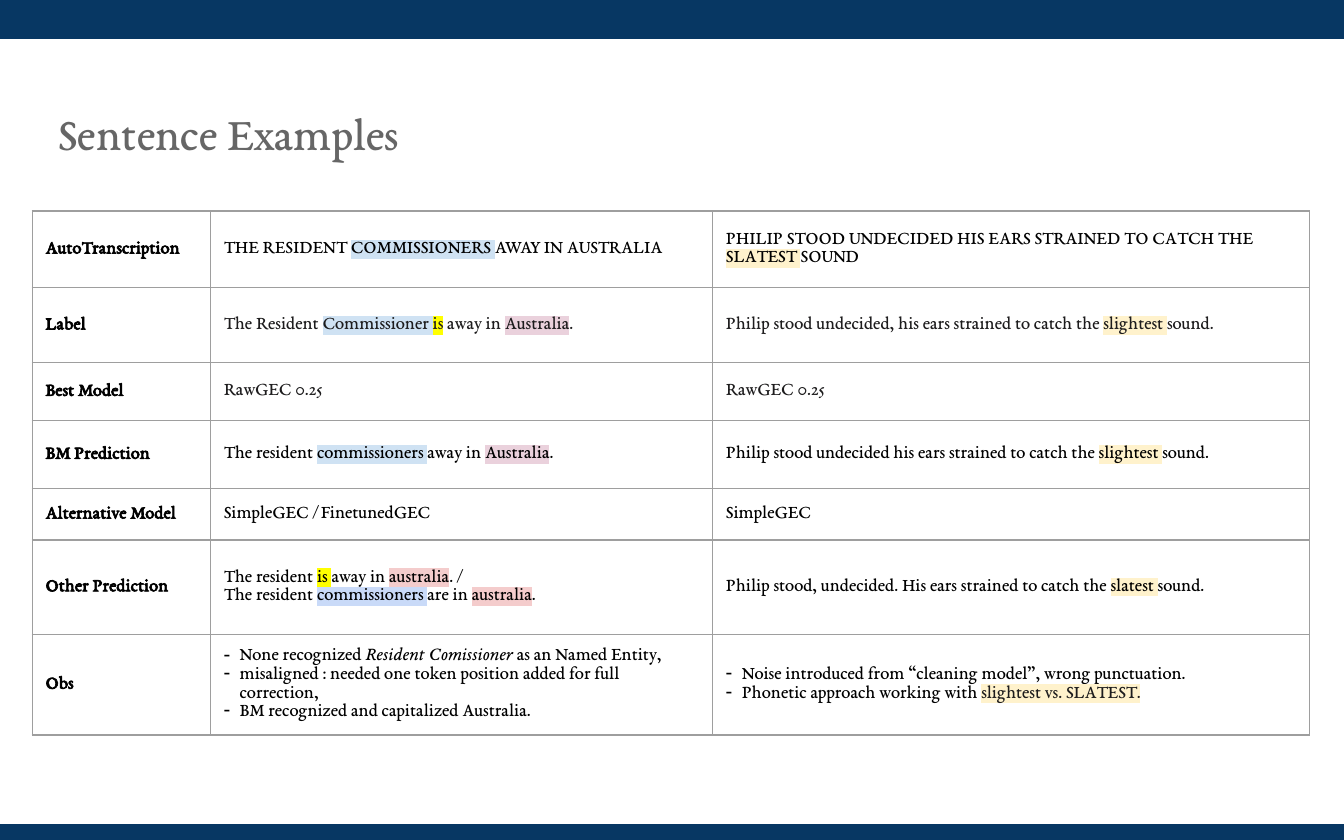
from dataclasses import dataclass

from lxml.etree import SubElement
from pptx import Presentation
from pptx.dml.color import RGBColor
from pptx.enum.shapes import MSO_SHAPE as Shape
from pptx.enum.text import MSO_ANCHOR as Anchor
from pptx.oxml.ns import qn
from pptx.util import Cm, Pt

FONT = "EB Garamond"
NAVY, GREY, BORDER, BLACK, INK = "073763", "666666", "9E9E9E", "000000", "1D1C1D"
BLUE, SKY, YELLOW = "CFE2F3", "C9DAF8", "FFFF00"
CREAM, PINK, RED = "FFF2CC", "EAD1DC", "F4CCCC"
INSET = Cm(0.25)


@dataclass
class Box:
    left: float
    top: float
    width: float
    height: float

    def lengths(self):
        return [Cm(n) for n in (self.left, self.top, self.width, self.height)]


@dataclass
class Part:
    """A stretch of text with its own look; colour None means that of its row."""
    text: str
    highlight: str = None
    colour: str = None
    bold: bool = False
    italic: bool = False


@dataclass
class Row:
    """A table row; a cell is a list of paragraphs, a paragraph a list of parts."""
    name: str
    height: float
    cells: list
    colour: str = BLACK
    bulleted: bool = False


COLUMN_WIDTHS = [3.37, 9.49, 11.28]
ROWS = [
    Row("AutoTranscription", 1.45, [
        [["THE RESIDENT ", Part("COMMISSIONERS ", BLUE), "AWAY IN AUSTRALIA"]],
        [["PHILIP STOOD UNDECIDED HIS EARS STRAINED TO CATCH THE ",
          Part("SLATEST ", CREAM), "SOUND"]],
    ]),
    Row("Label", 1.42, [
        [["The Resident ", Part("Commissioner ", BLUE), Part("is", YELLOW),
          " away in ", Part("Australia", PINK), "."]],
        [["Philip stood undecided, his ears strained to catch the ",
          Part("slightest ", CREAM), "sound."]],
    ], colour=INK),
    Row("Best Model", 1.09, [[["RawGEC 0.25"]], [["RawGEC 0.25"]]], colour=INK),
    Row("BM Prediction", 1.29, [
        [["The resident ", Part("commissioners ", BLUE), "away in ",
          Part("Australia", PINK), "."]],
        [["Philip stood undecided his ears strained to catch the ",
          Part("slightest ", CREAM), "sound."]],
    ]),
    Row("Alternative Model", 0.97, [[["SimpleGEC / FinetunedGEC"]], [["SimpleGEC"]]]),
    Row("Other Prediction", 1.78, [
        [["The resident ", Part("is ", YELLOW), "away in ", Part("australia", RED), ". /"],
         ["The resident ", Part("commissioners ", SKY), "are in ",
          Part("australia", RED), "."]],
        [["Philip stood, undecided. His ears strained to catch the ",
          Part("slatest ", CREAM), "sound."]],
    ]),
    Row("Obs", 1.78, [
        [["None recognized ", Part("Resident Comissioner", italic=True),
          " as an Named Entity,"],
         ["misaligned : needed one token position added for full correction,"],
         ["BM recognized and capitalized Australia."]],
        [["Noise introduced from “cleaning model”, wrong punctuation."],
         ["Phonetic approach working with ",
          Part("slightest vs. SLATEST.", CREAM, INK)]],
    ], bulleted=True),
]


def rgb(colour):
    return RGBColor.from_string(colour)


def add_solid_fill(parent, colour):
    SubElement(SubElement(parent, qn("a:solidFill")), qn("a:srgbClr"), val=colour)


def format_run(run, size, colour):
    run.font.size = Pt(size)
    run.font.color.rgb = rgb(colour)
    run.font.name = FONT


def highlight_run(run, colour):
    """Marks the run; the highlight has to come straight after the text fill."""
    properties = run.font._element
    highlight = SubElement(properties, qn("a:highlight"))
    SubElement(highlight, qn("a:srgbClr"), val=colour)
    properties.find(qn("a:solidFill")).addnext(highlight)


def add_bullet(paragraph):
    properties = paragraph._p.get_or_add_pPr()
    properties.set("marL", str(Cm(0.3)))
    properties.set("indent", str(Cm(-0.48)))
    bullet_colour = SubElement(properties, qn("a:buClr"))
    SubElement(bullet_colour, qn("a:srgbClr"), val=BLACK)
    SubElement(properties, qn("a:buChar"), char="-")


def set_insets(item):
    item.margin_left = item.margin_right = INSET
    item.margin_top = item.margin_bottom = INSET


def style_cell(cell):
    set_insets(cell)
    cell.vertical_anchor = Anchor.MIDDLE
    properties = cell._tc.get_or_add_tcPr()
    for side in ("lnL", "lnR", "lnT", "lnB"):
        line = SubElement(properties, qn(f"a:{side}"), w=str(Pt(0.75)))
        add_solid_fill(line, BORDER)
    cell.fill.background()


def fill_cell(cell, paragraphs, colour, bulleted=False):
    style_cell(cell)
    text_frame = cell.text_frame
    for index, parts in enumerate(paragraphs):
        paragraph = text_frame.add_paragraph() if index else text_frame.paragraphs[0]
        if bulleted:
            add_bullet(paragraph)
        for part in parts:
            if isinstance(part, str):
                part = Part(part)
            run = paragraph.add_run()
            run.text = part.text
            format_run(run, 10, part.colour or colour)
            run.font.bold, run.font.italic = part.bold, part.italic
            if part.highlight:
                highlight_run(run, part.highlight)


def add_bar(slide, box):
    bar = slide.shapes.add_shape(Shape.RECTANGLE, *box.lengths())
    bar.shadow.inherit = False
    bar.fill.solid()
    bar.fill.fore_color.rgb = bar.line.color.rgb = rgb(NAVY)
    bar.line.width = Pt(0.75)


def add_title(slide, box, text):
    text_frame = slide.shapes.add_textbox(*box.lengths()).text_frame
    text_frame.word_wrap = True
    text_frame.vertical_anchor = Anchor.MIDDLE
    set_insets(text_frame)
    text_frame.text = text
    format_run(text_frame.paragraphs[0].runs[0], 25.2, GREY)


def add_examples_table(slide, box):
    frame = slide.shapes.add_table(len(ROWS), len(COLUMN_WIDTHS), *box.lengths())
    table = frame.table
    table.first_row = table.horz_banding = False
    for column, width in zip(table.columns, COLUMN_WIDTHS):
        column.width = Cm(width)
    for table_row, row in zip(table.rows, ROWS):
        table_row.height = Cm(row.height)
        name_cell, *example_cells = table_row.cells
        fill_cell(name_cell, [[Part(row.name, bold=True)]], BLACK)
        for cell, paragraphs in zip(example_cells, row.cells):
            fill_cell(cell, paragraphs, row.colour, row.bulleted)


def main():
    presentation = Presentation()
    presentation.slide_width, presentation.slide_height = Cm(25.4), Cm(15.88)
    slide = presentation.slides.add_slide(presentation.slide_layouts[6])
    add_bar(slide, Box(-0.05, 15.6, 25.5, 0.28))
    add_bar(slide, Box(-0.05, -0.03, 25.5, 0.75))
    table_height = sum(row.height for row in ROWS)
    add_examples_table(slide, Box(0.61, 3.99, sum(COLUMN_WIDTHS), table_height))
    add_title(slide, Box(0.86, 1.6, 23.67, 1.78), "Sentence Examples")
    presentation.save("out.pptx")


if __name__ == "__main__":
    main()
